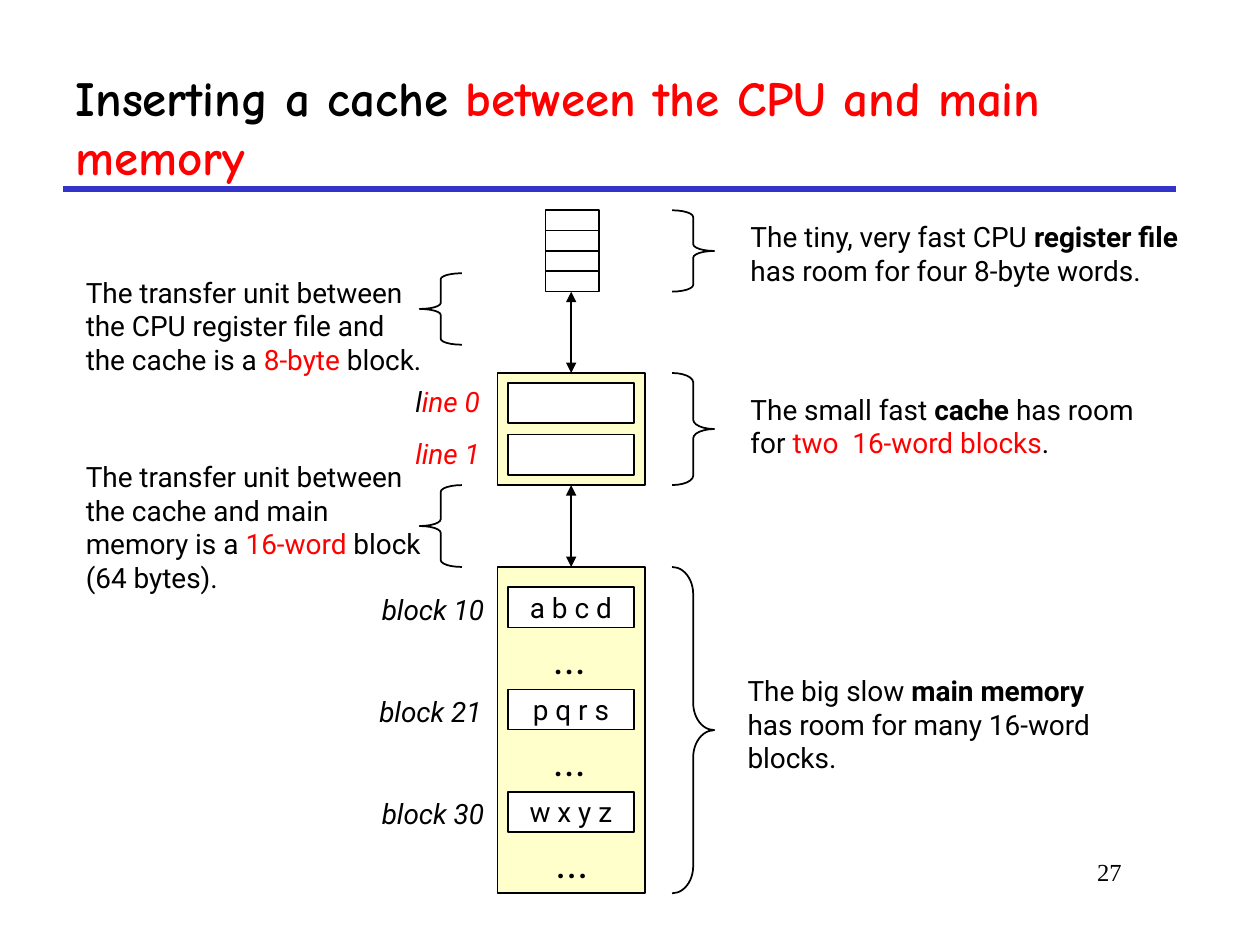
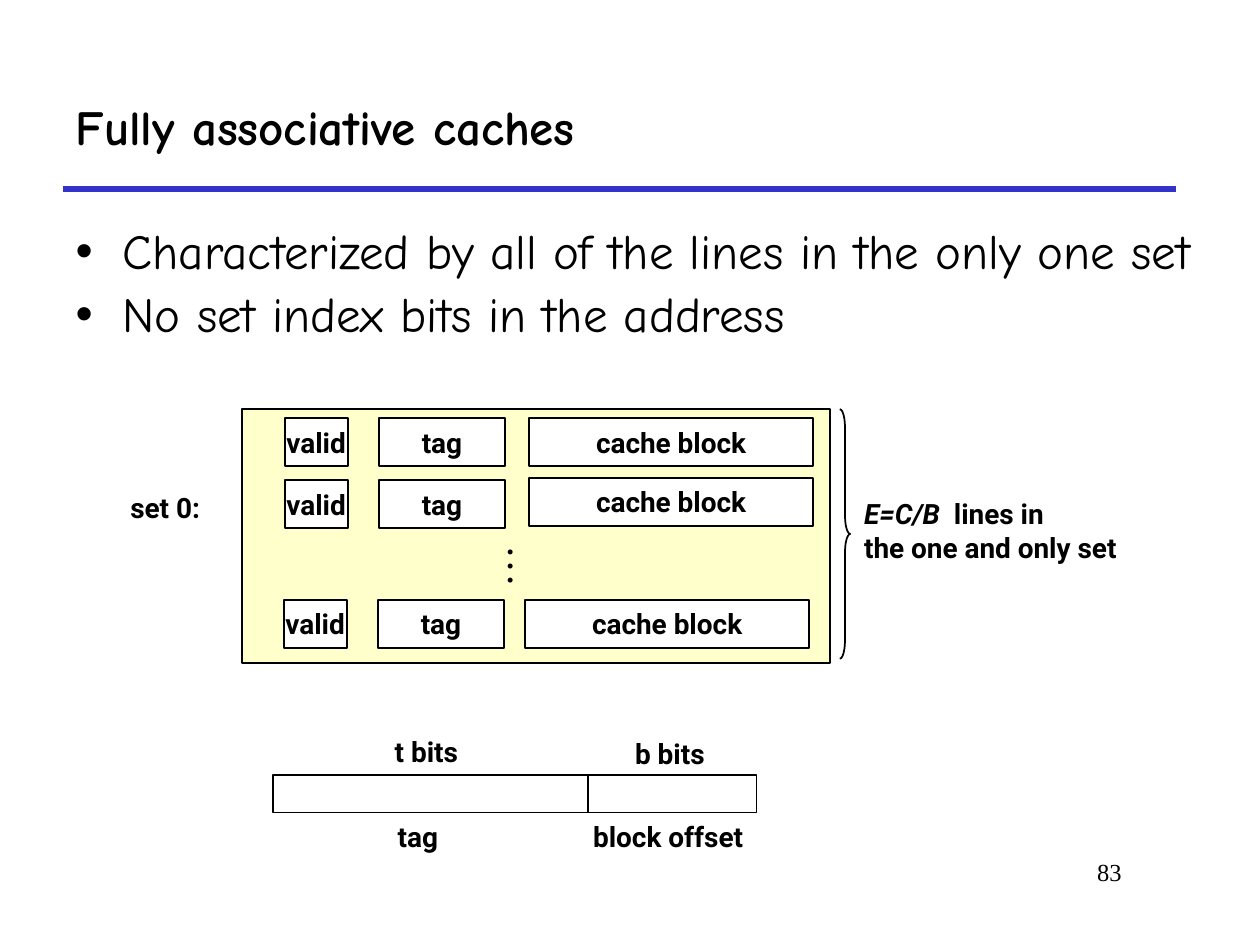
from lxml import etree
from pptx import Presentation
from pptx.dml.color import RGBColor
from pptx.enum.shapes import MSO_CONNECTOR, MSO_SHAPE
from pptx.enum.text import MSO_ANCHOR, MSO_AUTO_SIZE, PP_ALIGN
from pptx.oxml.ns import qn
from pptx.util import Cm, Pt

BLACK = RGBColor(0, 0, 0)
WHITE = RGBColor(255, 255, 255)
RED = RGBColor(255, 0, 0)
BLUE = RGBColor(0x33, 0x33, 0xCC)
YELLOW = RGBColor(0xFF, 0xFF, 0x99)

HEAD, SANS, SERIF = "Comic Neue", "Roboto", "Times New Roman"

LEFT, CENTER, RIGHT = PP_ALIGN.LEFT, PP_ALIGN.CENTER, PP_ALIGN.RIGHT
TOP, MIDDLE = MSO_ANCHOR.TOP, MSO_ANCHOR.MIDDLE
RECT = MSO_SHAPE.RECTANGLE
OPEN, CLOSE = MSO_SHAPE.LEFT_BRACE, MSO_SHAPE.RIGHT_BRACE
LINE = MSO_CONNECTOR.STRAIGHT
FIXED = MSO_AUTO_SIZE.NONE


def sub(node, tag, **attrs):
    return etree.SubElement(node, qn(tag), **attrs)


def place(shape, x, y, w, h):
    shape.left, shape.top = Cm(x), Cm(y)
    shape.width, shape.height = Cm(w), Cm(h)


def style(para, size=16, face=SANS, bold=False, align=LEFT):
    para.alignment = align
    font = para.font
    font.size, font.name, font.bold = Pt(size), face, bold
    font.color.rgb = BLACK


def write(frame, lines, **look):
    """Each line is a list of (text, marks): b bold, i italic, r red."""
    for i, line in enumerate(lines):
        para = frame.paragraphs[0] if i == 0 else frame.add_paragraph()
        style(para, **look)
        for text, marks in line:
            run = para.add_run()
            run.text = text
            if "b" in marks:
                run.font.bold = True
            if "i" in marks:
                run.font.italic = True
            if "r" in marks:
                run.font.color.rgb = RED


def note(slide, x, y, w, h, lines, wrap=True, anchor=MIDDLE, **look):
    box = slide.shapes.add_textbox(Cm(x), Cm(y), Cm(w), Cm(h))
    frame = box.text_frame
    frame.word_wrap, frame.vertical_anchor = wrap, anchor
    write(frame, lines, **look)
    return frame


def label(slide, x, y, w, line, h=0.94, **look):
    note(slide, x, y, w, h, [line], wrap=False, align=CENTER, **look)


def outline(slide, kind, x, y, w, h, fill=None):
    shape = slide.shapes.add_shape(kind, Cm(x), Cm(y), Cm(w), Cm(h))
    shape.shadow.inherit = False
    shape.line.color.rgb, shape.line.width = BLACK, Pt(1)
    if fill is None:
        shape.fill.background()
    else:
        shape.fill.solid()
        shape.fill.fore_color.rgb = fill
    return shape


def cell(slide, x, y, w, h, text="", fill=WHITE, bold=False):
    frame = outline(slide, RECT, x, y, w, h, fill).text_frame
    if text:
        frame.word_wrap, frame.vertical_anchor = False, MIDDLE
        frame.margin_left = frame.margin_right = 0
        frame.margin_top = frame.margin_bottom = 0
        write(frame, [[(text, "")]], bold=bold, align=CENTER)


def panel(slide, x, y, w, h):
    shape = outline(slide, RECT, x, y, w, h, YELLOW)
    tint = shape.fill._xPr.find(qn("a:solidFill"))[0]
    sub(tint, "a:alpha", val="50000")


def brace(slide, kind, x, y, w, h):
    shape = outline(slide, kind, x, y, w, h)
    shape.adjustments[0] = min(h / w / 12, 1.75)


def rule(slide, x1, y1, x2, y2, color=BLACK, width=1, arrows=False):
    line = slide.shapes.add_connector(LINE, Cm(x1), Cm(y1), Cm(x2), Cm(y2))
    line.line.color.rgb, line.line.width = color, Pt(width)
    if arrows:
        for end in ("a:headEnd", "a:tailEnd"):
            sub(line.line._ln, end, type="triangle")
    sub(line._element.spPr, "a:effectLst")


def begin(deck, layout, title, page):
    """Slide with the shared title, rule and page number."""
    slide = deck.slides.add_slide(deck.slide_layouts[layout])
    rule(slide, 1.27, 3.81, 23.7, 3.81, BLUE, 3)
    head = slide.shapes.title
    place(head, 1.27, 1.27, 22.43, 2.54)
    frame = head.text_frame
    frame.vertical_anchor, frame.auto_size = MIDDLE, FIXED
    write(frame, [title], size=28, face=HEAD, bold=True)
    note(slide, 19.25, 17.15, 3.61, 1.27, [[(page, "")]], anchor=TOP,
         size=14, face=SERIF, align=RIGHT)
    return slide


def bullets(slide, items):
    body = slide.placeholders[1]
    place(body, 1.27, 4.45, 23.2, 4.01)
    frame = body.text_frame
    frame.auto_size = FIXED
    for i, item in enumerate(items):
        para = frame.paragraphs[0] if i == 0 else frame.add_paragraph()
        para.text = item
        para.line_spacing = 0.9
        para.space_before = Pt(5.6 if i else 0)
        props = para._p.get_or_add_pPr()
        props.set("marL", str(Cm(0.95)))
        props.set("indent", str(Cm(-0.95)))
        sub(props, "a:buChar", char="•")
        style(para, size=28, face=HEAD)


def levels(deck):
    slide = begin(deck, 5, [("Inserting a cache ", ""),
                            ("between the CPU and main memory", "r")], "27")
    left, wide = 10.03, 2.97
    mid = left + wide / 2

    # Register file, cache and main memory
    for i in range(4):
        cell(slide, 11, 4.24 + 0.41 * i, 1.07, 0.41, fill=None)
    panel(slide, left, 7.52, wide, 2.26)
    panel(slide, left, 11.43, wide, 6.58)

    # Cache lines
    names = [[("l", "i"), ("ine 0", "ir")], [("line 1", "ir")]]
    for i, name in enumerate(names):
        cell(slide, 10.24, 7.72 + 1.04 * i, 2.54, 0.81)
        label(slide, 8.1, 7.62 + 1.04 * i, 1.85, name)

    # Memory blocks
    blocks = [("block 10", "a b c d", 7.42, 10.87),
              ("block 21", "p q r s", 7.37, 10.87),
              ("block 30", "w x y z", 7.42, 10.92)]
    for i, (name, words, x, dots) in enumerate(blocks):
        down = 2.06 * i
        cell(slide, 10.24, 11.84 + down, 2.54, 0.81, words)
        label(slide, x, 11.81 + down, 2.62, [(name, "i")])
        label(slide, dots, 12.62 + down, 1.22, [("...", "")], h=1.27, size=24)

    # Transfers
    for top, end in ((5.88, 7.52), (9.78, 11.43)):
        rule(slide, mid, top, mid, end, arrows=True)

    # Braces
    for y, h in ((4.24, 1.64), (7.52, 2.26), (11.43, 6.58)):
        brace(slide, CLOSE, 13.55, y, 0.85, h)
    for y, h in ((5.51, 1.44), (9.78, 1.65)):
        brace(slide, OPEN, 8.46, y, 0.85, h)

    # Notes on the right
    note(slide, 14.88, 4.29, 9.5, 1.63, [
        [("The tiny, very fast CPU ", ""), ("register file", "b")],
        [("has room for four 8-byte words.", "")]])
    note(slide, 14.88, 7.77, 8.4, 1.63, [
        [("The small fast ", ""), ("cache ", "b"), ("has room", "")],
        [("for ", ""), ("two  16-word blocks", "r"), (".", "")]])
    note(slide, 14.82, 13.44, 7.6, 2.31, [
        [("The big slow ", ""), ("main memory", "b")],
        [("has room for many 16-word", "")],
        [("blocks.", "")]])

    # Notes on the left
    note(slide, 1.48, 5.41, 7.5, 2.31, [
        [("The transfer unit between", "")],
        [("the CPU register file and", "")],
        [("the cache is a ", ""), ("8-byte", "r"), (" block.", "")]])
    note(slide, 1.48, 9.12, 7.5, 3, [
        [("The transfer unit between", "")],
        [("the cache and main", "")],
        [("memory is a ", ""), ("16-word", "r"), (" block", "")],
        [("(64 bytes).", "")]])


def assoc(deck):
    slide = begin(deck, 1, [("Fully associative caches", "")], "83")
    bullets(slide, ["Characterized by all of the lines in the only one set",
                    "No set index bits in the address"])

    # The only set and its lines
    label(slide, 2.34, 9.75, 1.98, [("set 0:", "")], bold=True)
    panel(slide, 4.88, 8.25, 11.86, 5.11)
    rows = [(5.74, 8.43, 10.67, 8.43),
            (5.74, 9.68, 10.67, 9.63),
            (5.72, 12.09, 10.59, 12.09)]
    for x, y, far, top in rows:
        cell(slide, x, y, 1.27, 0.97, "valid", bold=True)
        cell(slide, x + 1.9, y, 2.54, 0.97, "tag", bold=True)
        cell(slide, far, top, 5.72, 0.97, "cache block", bold=True)
    dots = note(slide, 9.7, 10.74, 1.52, 1.09, [[("…", "")]], wrap=False,
                anchor=TOP, size=24, face=SERIF)
    dots._txBody.bodyPr.set("vert", "eaVert")
    brace(slide, CLOSE, 16.93, 8.25, 0.21, 5.03)
    note(slide, 17.17, 9.88, 6.1, 1.63, [
        [("E=C/B", "i"), ("  lines in", "")],
        [("the one and only set", "")]], bold=True)

    # Address fields
    cell(slide, 5.51, 15.62, 6.35, 0.76, fill=None)
    cell(slide, 11.86, 15.62, 3.39, 0.76, fill=None)
    fields = [("t bits", 7.67, 14.68, 1.85), ("b bits", 12.5, 14.71, 2.01),
              ("tag", 7.75, 16.38, 1.35), ("block offset", 11.63, 16.38, 3.68)]
    for text, x, y, w in fields:
        label(slide, x, y, w, [(text, "")], bold=True)


def main():
    deck = Presentation()
    deck.slide_width, deck.slide_height = Cm(25.4), Cm(19.05)
    levels(deck)
    assoc(deck)
    deck.save("out.pptx")


if __name__ == "__main__":
    main()
